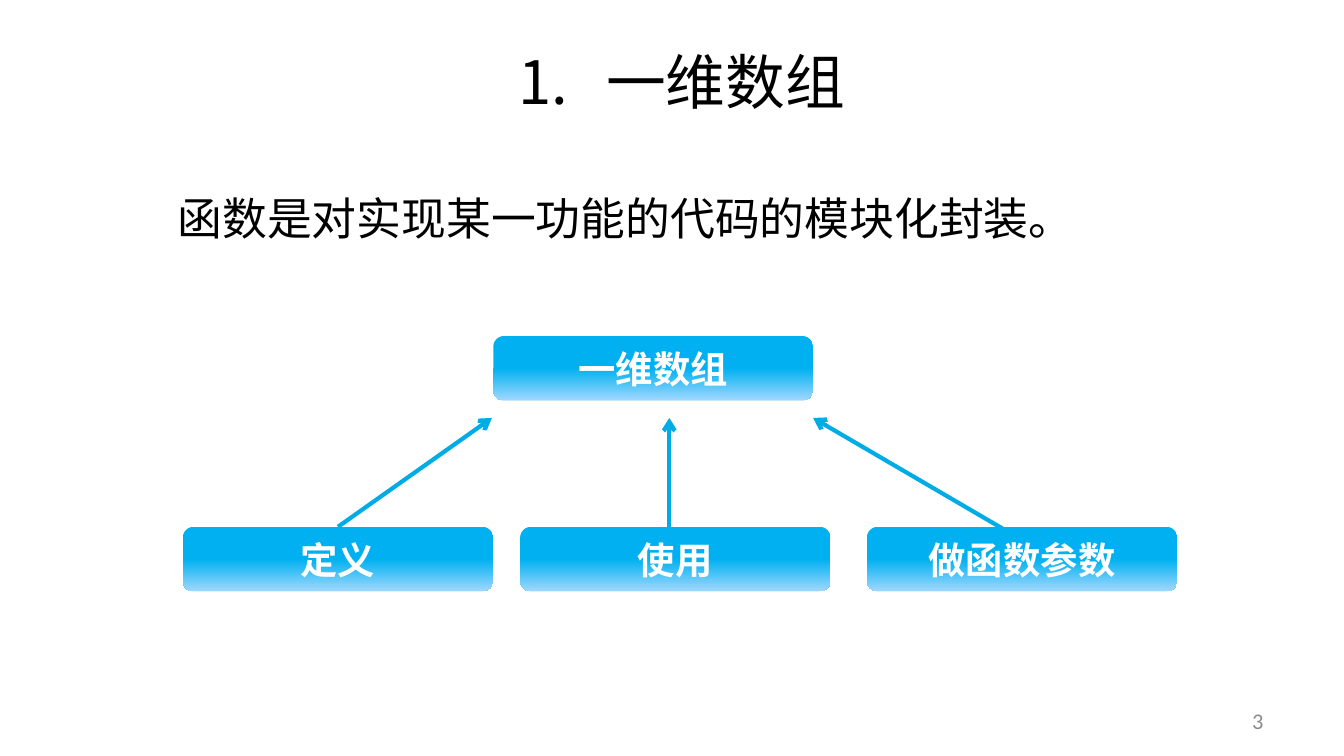
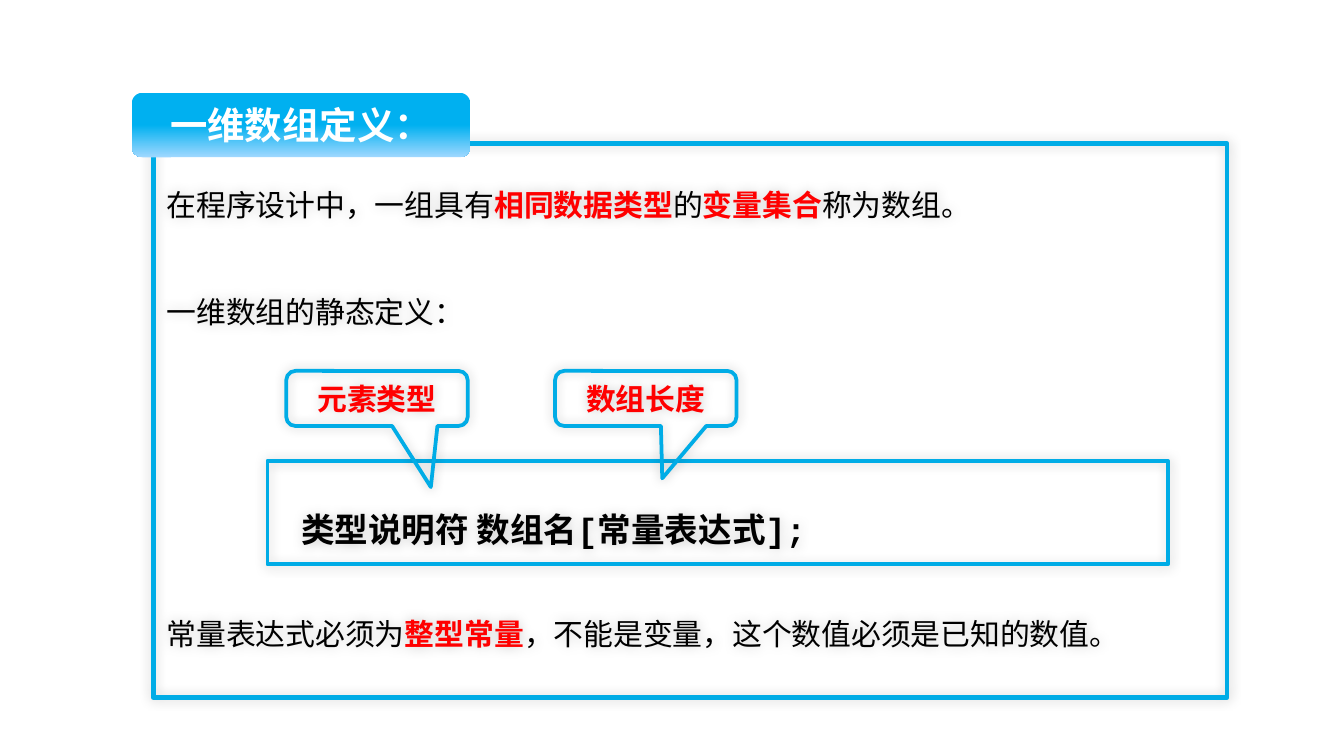
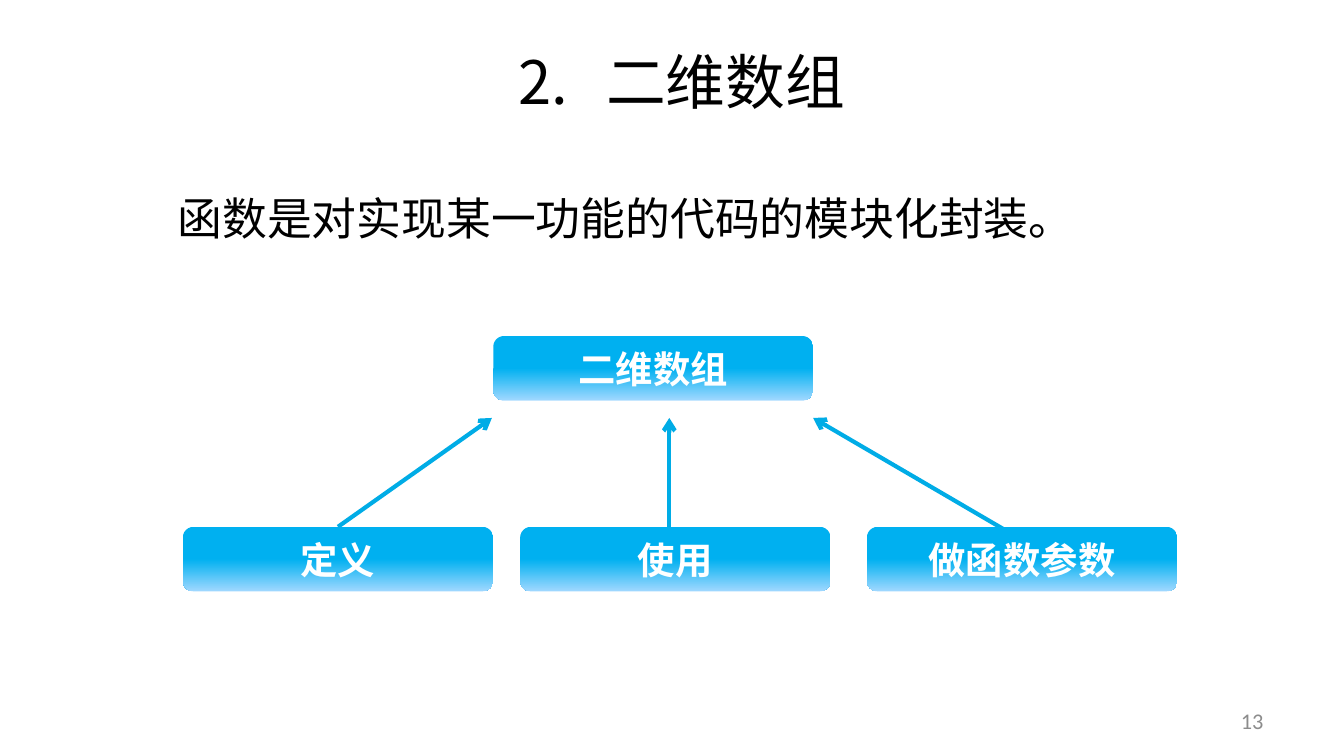
import copy

import pptx
import pptx.dml.color
import pptx.enum.shapes
import pptx.enum.text
import pptx.oxml
import pptx.oxml.ns
import pptx.util
from lxml import etree

WIDTH = 10
HEIGHT = WIDTH * 9 / 16
BLUE, SKY, PALE = "00ACE6", "00B0F0", "9FD8FF"
BLACK, WHITE, RED, GRAY = "000000", "FFFFFF", "FF0000", "8C8C8C"
CJK, SANS, MONO, FOOTER_FONT = "Noto Sans CJK SC", "Arial", "Courier New", "Calibri"

SUMMARY = "函数是对实现某一功能的代码的模块化封装。"
OVERVIEWS = [
    {"number": 1, "topic": "一维数组", "page": "3"},
    {"number": 2, "topic": "二维数组", "page": "13"},
]
BRANCHES = [
    ("定义", 1.36, (2.51, 3.92), (3.66, 3.11)),
    ("使用", 3.87, (4.98, 3.92), (4.98, 3.11)),
    ("做函数参数", 6.45, (7.66, 4.05), (6.05, 3.11)),
]
BAR_HEIGHT, BRANCH_WIDTH, BRANCH_TOP = 0.48, 2.31, 3.92

DEFINITION_TITLE = "一维数组定义："
DEFINITION = [
    (0, CJK, ["在程序设计中，一组具有", ("相同数据类型",), "的", ("变量集合",), "称为数组。"]),
    (33.3, SANS, ["一维数组的静态定义："]),
    (148.5, SANS, ["常量表达式必须为", ("整型常量",), "，不能是变量，这个数值必须是已知的数值。"]),
]
SYNTAX = "类型说明符 数组名[常量表达式];"
CALLOUTS = [
    ("元素类型", 2.13, (0.297, 1.609, 0.167)),
    ("数组长度", 4.13, (0.091, 1.451, 0.167)),
]

SHAPES = pptx.enum.shapes.MSO_SHAPE
ALIGN = pptx.enum.text.PP_ALIGN
ANCHOR = pptx.enum.text.MSO_ANCHOR
qn = pptx.oxml.ns.qn
Pt = pptx.util.Pt
Inches = pptx.util.Inches


def rgb(color):
    return pptx.dml.color.RGBColor.from_string(color)


def place(shape, left, top, width, height):
    shape.left, shape.top = Inches(left), Inches(top)
    shape.width, shape.height = Inches(width), Inches(height)


def add_box(slide, kind, *box):
    return slide.shapes.add_shape(kind, *map(Inches, box))


def set_bullet(paragraph, hanging=0, number=None):
    properties = paragraph._p.get_or_add_pPr()
    properties.set("marL", str(Inches(hanging)))
    properties.set("indent", str(-Inches(hanging)))
    if number is None:
        etree.SubElement(properties, qn("a:buNone"))
    else:
        etree.SubElement(properties, qn("a:buAutoNum"), type="arabicPeriod", startAt=str(number))


def style(paragraph, size, font, color, bold=False, align=ALIGN.LEFT, line=None, before=0):
    paragraph.alignment = align
    paragraph.space_before = Pt(before)
    if line:
        paragraph.line_spacing = Pt(line)
    paragraph.font.size = Pt(size)
    paragraph.font.bold = bold
    paragraph.font.color.rgb = rgb(color)
    paragraph.font.name = font
    defaults = paragraph._p.pPr.find(qn("a:defRPr"))
    etree.SubElement(defaults, qn("a:ea"), typeface=CJK)


def set_frame(shape, anchor=ANCHOR.MIDDLE, top=0.05, left=0.1):
    frame = shape.text_frame
    frame.word_wrap = True
    frame.auto_size = pptx.enum.text.MSO_AUTO_SIZE.NONE
    frame.vertical_anchor = anchor
    frame.margin_top, frame.margin_bottom = Inches(top), Inches(0.05)
    frame.margin_left, frame.margin_right = Inches(left), Inches(0.1)
    return frame


def write(shape, text, *font, anchor=ANCHOR.MIDDLE, top=0.05, left=0.1, bullet=(), **options):
    frame = set_frame(shape, anchor, top, left)
    frame.text = text
    set_bullet(frame.paragraphs[0], *bullet)
    style(frame.paragraphs[0], *font, **options)


def add_bar(slide, label, *box):
    bar = add_box(slide, SHAPES.ROUNDED_RECTANGLE, *box, BAR_HEIGHT)
    bar.fill.gradient()
    bar.fill.gradient_angle = 270
    for stop, color in zip(bar.fill.gradient_stops, (SKY, PALE)):
        stop.color.rgb = rgb(color)
    stops = bar.element.spPr.find(".//" + qn("a:gsLst"))
    stops.insert(1, copy.deepcopy(stops[0]))
    for stop, position in zip(stops, (0, 50000, 100000)):
        stop.set("pos", str(position))
    bar.line.fill.background()
    bar.shadow.inherit = False
    write(bar, label, 20, CJK, WHITE, bold=True, align=ALIGN.CENTER)
    return bar


def outline(shape, width):
    shape.fill.background()
    shape.line.color.rgb = rgb(BLUE)
    shape.line.width = Pt(width)
    shape.shadow.inherit = False
    effects = shape.element.spPr.find(qn("a:effectLst"))
    glow = etree.SubElement(effects, qn("a:outerShdw"), blurRad=str(Pt(6)), dist="0",
                            dir=str(225 * 60000), algn="ctr", rotWithShape="0")
    color = etree.SubElement(glow, qn("a:srgbClr"), val=BLACK)
    etree.SubElement(color, qn("a:alpha"), val="20000")


def add_arrow(slide, start, end):
    arrow = slide.shapes.add_connector(
        pptx.enum.shapes.MSO_CONNECTOR.STRAIGHT, *map(Inches, start + end))
    arrow.line.color.rgb = rgb(BLUE)
    arrow.line.width = Pt(2.25)
    properties = arrow.element.spPr
    etree.SubElement(properties.find(qn("a:ln")), qn("a:tailEnd"), type="arrow")
    etree.SubElement(properties, qn("a:effectLst"))
    return arrow


def add_overview(slide, number, topic, page):
    title, summary = slide.placeholders
    place(title, 1.11, 0.28, 7.93, 0.64)
    write(title, topic, 32, CJK, BLACK, align=ALIGN.CENTER, bullet=(0.65, number))
    place(summary, 1.22, 1.17, 7.09, 0.64)
    write(summary, SUMMARY, 24, SANS, BLACK, anchor=ANCHOR.TOP, top=0.09, line=40)

    add_bar(slide, topic, 3.67, 2.5, 2.38)
    for label, left, start, end in BRANCHES:
        arrow = add_arrow(slide, start, end)
        branch = add_bar(slide, label, left, BRANCH_TOP, BRANCH_WIDTH)
        top_middle = left + BRANCH_WIDTH / 2, BRANCH_TOP
        if all(abs(a - b) < 0.01 for a, b in zip(start, top_middle)):
            arrow.begin_connect(branch, 0)

    footer = slide.shapes.add_textbox(*map(Inches, (7.17, 5.21, 2.33, 0.3)))
    write(footer, page, 12, FOOTER_FONT, GRAY, align=ALIGN.RIGHT)


def add_definition(slide):
    title, body = slide.placeholders
    title.element.getparent().remove(title.element)
    place(body, 1.14, 1.07, 7.99, 4.12)
    outline(body, 2.5)
    frame = set_frame(body, ANCHOR.TOP, 0.25)
    for index, (before, font, pieces) in enumerate(DEFINITION):
        paragraph = frame.add_paragraph() if index else frame.paragraphs[0]
        set_bullet(paragraph)
        style(paragraph, 16, font, BLACK, line=24, before=before)
        for piece in pieces:
            run = paragraph.add_run()
            if isinstance(piece, tuple):
                run.text = piece[0]
                run.font.bold = True
                run.font.color.rgb = rgb(RED)
            else:
                run.text = piece

    add_bar(slide, DEFINITION_TITLE, 0.98, 0.69, 2.52)
    syntax = add_box(slide, SHAPES.RECTANGLE, 1.99, 3.43, 6.7, 0.77)
    outline(syntax, 2)
    write(syntax, SYNTAX, 18, MONO, BLACK, bold=True,
          anchor=ANCHOR.TOP, top=0.24, left=0.25, line=30)
    for label, left, pointer in CALLOUTS:
        callout = add_box(slide, SHAPES.ROUNDED_RECTANGULAR_CALLOUT, left, 2.76, 1.35, 0.41)
        for index, value in enumerate(pointer):
            callout.adjustments[index] = value
        outline(callout, 2)
        write(callout, label, 16, SANS, RED, bold=True, align=ALIGN.CENTER)


def main():
    deck = pptx.Presentation()
    deck.slide_width, deck.slide_height = Inches(WIDTH), Inches(HEIGHT)
    layout = deck.slide_layouts[1]
    first, second = OVERVIEWS
    add_overview(deck.slides.add_slide(layout), **first)
    add_definition(deck.slides.add_slide(layout))
    add_overview(deck.slides.add_slide(layout), **second)
    deck.save("out.pptx")


if __name__ == "__main__":
    main()
